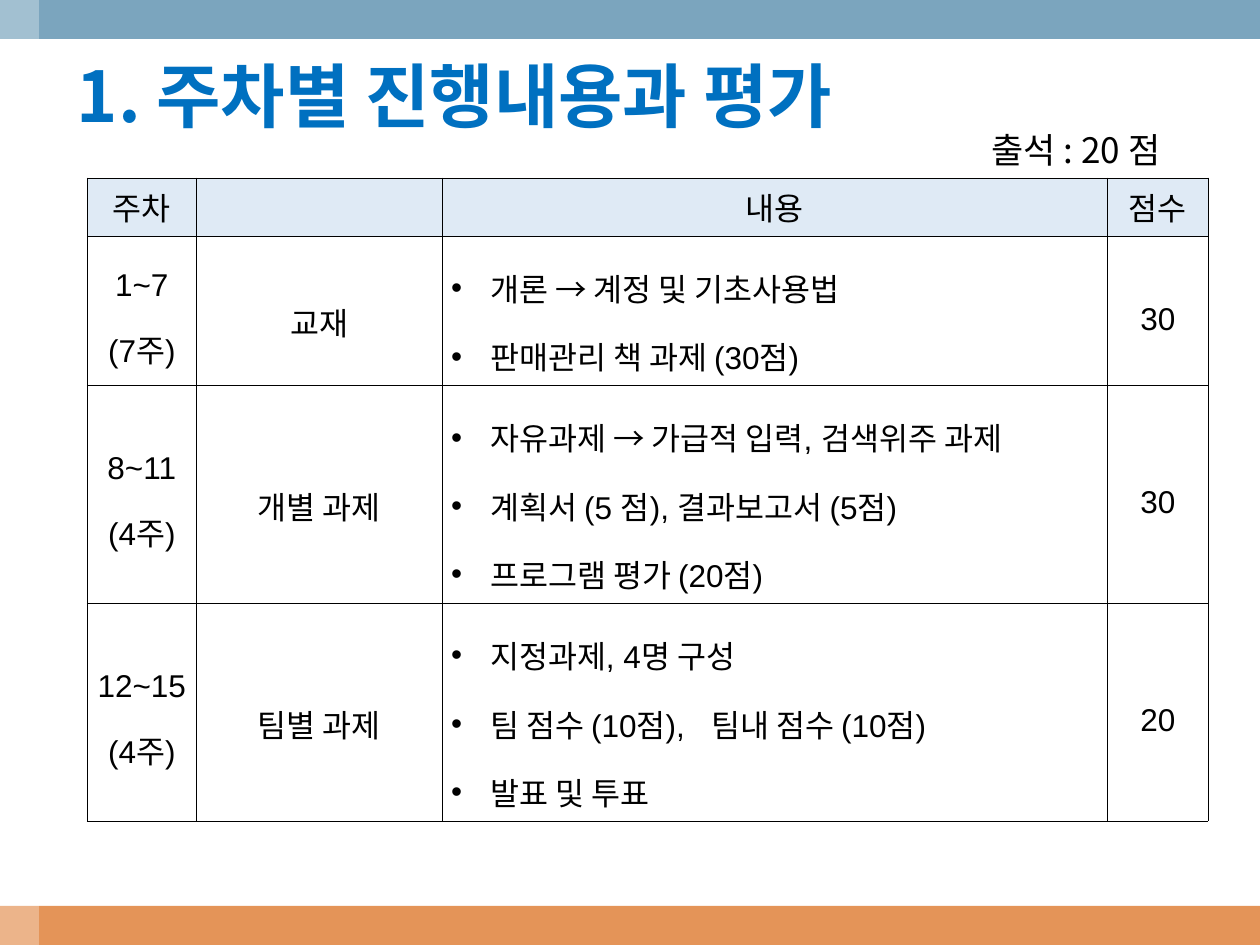
from lxml.etree import SubElement as Sub
from pptx import Presentation
from pptx.dml.color import RGBColor as Rgb
from pptx.enum.shapes import MSO_SHAPE as Kind
from pptx.enum.text import MSO_ANCHOR as Anchor, MSO_AUTO_SIZE as Fit, PP_ALIGN as Align
from pptx.oxml.ns import qn
from pptx.util import Inches, Pt

HUES = {
    "blue": "7BA5BE", "orange": "E49458", "title": "0070C0",
    "head": "DFEAF5", "white": "FFFFFF", "black": "000000",
}
KOREAN = "Noto Sans CJK KR"
WIDTHS = [0.87, 1.95, 5.28, 0.8]
HEIGHTS = [0.45, 1.01, 1.43, 1.43]
HEADS = ["주차", "", "내용", "점수"]
PLAN = [
    (["1~7", "(7주)"], "교재",
     ["개론 → 계정 및 기초사용법", "판매관리 책 과제 (30점) "], "30"),
    (["8~11 (4주)"], "개별 과제",
     ["자유과제 → 가급적 입력, 검색위주 과제", "계획서 (5 점), 결과보고서 (5점)",
      "프로그램 평가 (20점)"], "30"),
    (["12~15 (4주)"], "팀별 과제",
     ["지정과제, 4명 구성", "팀 점수 (10점),   팀내 점수 (10점)", "발표 및 투표"], "20"),
]


def color(name):
    return Rgb.from_string(HUES[name])


def indent(para, size):
    props = para._p.get_or_add_pPr()
    props.set("marL", str(Inches(size)))
    props.set("indent", str(-Inches(size)))
    return props


def write(frame, lines, size=18, font="Arial", hue="black", bold=False,
          align=Align.LEFT, space=1.0, before=0, hang=0, bullet=False):
    """Fill a text frame, one paragraph for each line."""
    for i, line in enumerate([lines] if isinstance(lines, str) else lines):
        para = frame.add_paragraph() if i else frame.paragraphs[0]
        para.alignment, para.line_spacing = align, space
        para.space_before = Pt(before)
        if hang:
            props = indent(para, hang)
            if bullet:
                tint = Sub(props, qn("a:buClr"))
                Sub(tint, qn("a:srgbClr"), val=HUES["black"])
                Sub(props, qn("a:buFont"), typeface="Arial")
                Sub(props, qn("a:buChar"), char="•")
        run = para.add_run()
        run.text = line
        run.font.size, run.font.name, run.font.bold = Pt(size), font, bold
        run.font.color.rgb = color(hue)
        Sub(run.font._element, qn("a:ea"), typeface=KOREAN)


def add_bar(slide, box, hue, alpha=None):
    bar = slide.shapes.add_shape(Kind.RECTANGLE, *map(Inches, box))
    bar.shadow.inherit = False
    bar.fill.solid()
    bar.fill.fore_color.rgb = color(hue)
    bar.line.fill.background()
    if alpha:
        tint = bar.element.spPr.find(".//" + qn("a:srgbClr"))
        Sub(tint, qn("a:alpha"), val=str(alpha * 1000))


def add_frame(slide, box, thick=0.31):
    left, top, width, height = box
    add_bar(slide, (left, top + height - thick, width, thick), "orange")
    add_bar(slide, (left, top, width, thick), "blue")
    add_bar(slide, (left, top, thick, height), "white", alpha=30)


def add_title(slide, box):
    title = slide.shapes.title
    title.left, title.top, title.width, title.height = map(Inches, box)
    frame = title.text_frame
    frame.auto_size, frame.vertical_anchor = Fit.NONE, Anchor.TOP
    write(frame, "1. 주차별 진행내용과 평가", size=40, font=KOREAN, hue="title",
          bold=True, space=0.9, before=10, hang=0.38)


def add_note(slide, box):
    frame = slide.shapes.add_textbox(*map(Inches, box)).text_frame
    frame.word_wrap = True
    write(frame, "출석 : 20 점", size=20, font=KOREAN)


def style(cell, hue):
    """Set margins, borders and fill of one cell."""
    cell.vertical_anchor = Anchor.MIDDLE
    cell.margin_left = cell.margin_right = Inches(0.07)
    cell.margin_top = cell.margin_bottom = Inches(0.05)
    props = cell._tc.get_or_add_tcPr()
    for side in ("lnL", "lnR", "lnT", "lnB"):
        line = Sub(props, qn("a:" + side), w=str(Pt(0.11)))
        fill = Sub(line, qn("a:solidFill"))
        Sub(fill, qn("a:srgbClr"), val=HUES["black"])
    cell.fill.solid()
    cell.fill.fore_color.rgb = color(hue)


def add_plan(slide, box):
    rows = [HEADS, *PLAN]
    table = slide.shapes.add_table(len(rows), len(HEADS), *map(Inches, box)).table
    for col, width in zip(table.columns, WIDTHS):
        col.width = Inches(width)
    for row, height in zip(table.rows, HEIGHTS):
        row.height = Inches(height)
    for r, row in enumerate(rows):
        for c, lines in enumerate(row):
            cell = table.cell(r, c)
            style(cell, "white" if r else "head")
            listed = r > 0 and c == 2
            if lines:
                write(cell.text_frame, lines, space=1.5 if r else 1.0,
                      align=Align.JUSTIFY if listed else Align.CENTER,
                      hang=0.31 if listed else 0, bullet=listed)


def main():
    deck = Presentation()
    deck.slide_width, deck.slide_height = Inches(10), Inches(7.5)
    slide = deck.slides.add_slide(deck.slide_layouts[5])
    add_frame(slide, (0, 0, 10, 7.5))
    add_title(slide, (0.51, 0.44, 8.9, 0.87))
    add_plan(slide, (0.69, 1.41, 8.9, 4.33))
    add_note(slide, (7.77, 0.97, 1.81, 0.44))
    deck.save("out.pptx")


if __name__ == "__main__":
    main()
